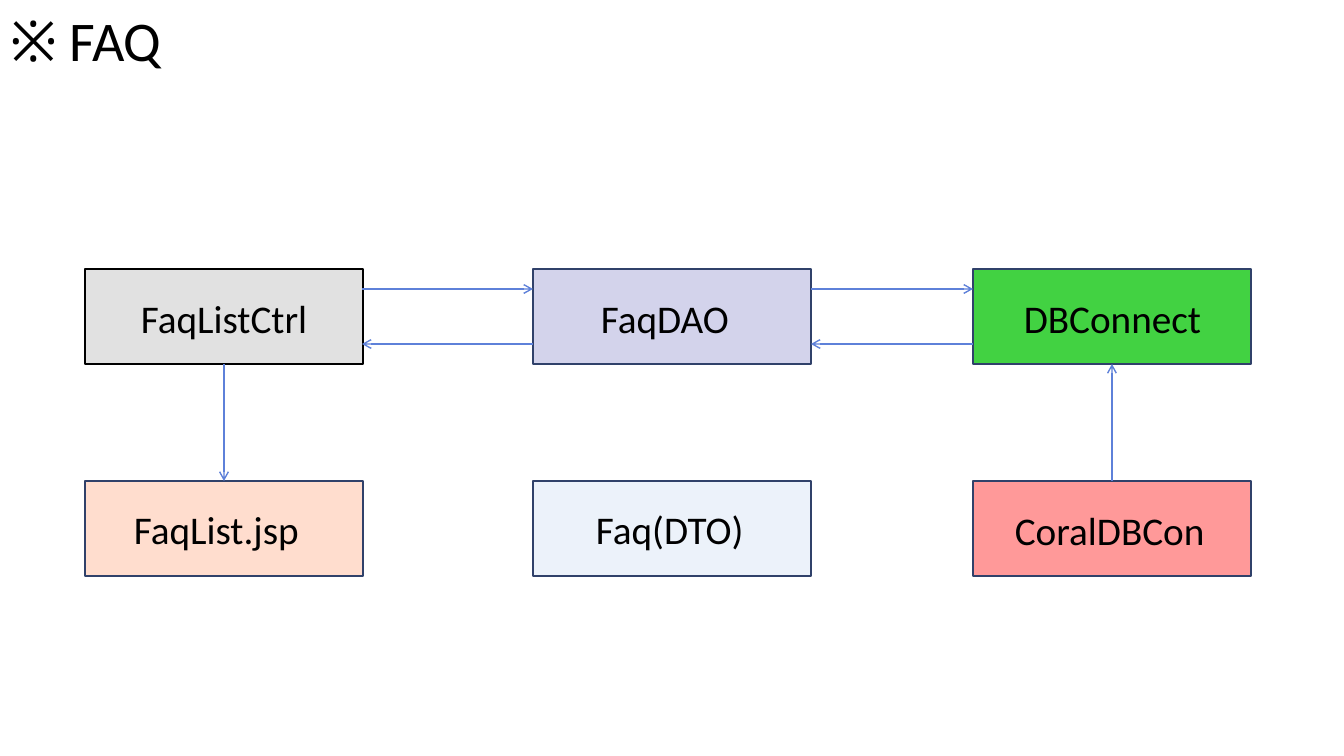
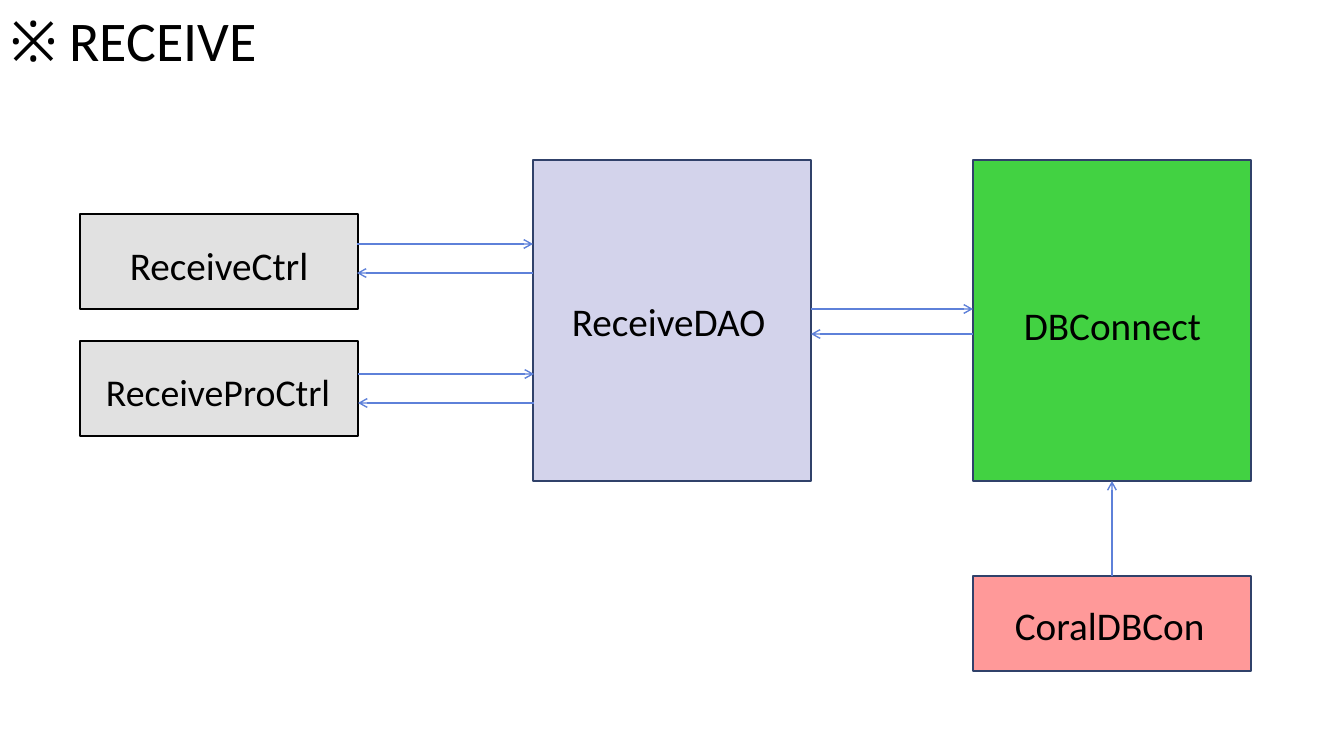
"""Build two class-flow diagrams, one slide each."""
from lxml import etree
from pptx import Presentation
from pptx import util as u
from pptx.dml.color import RGBColor
from pptx.enum import shapes, text
from pptx.oxml.ns import qn

SCALE = 914400 / 100.8
FONT = "Calibri"
INK, NAVY, BLUE = "000000", "30416A", "5E81D9"
GREY, LILAC, GREEN, RED, PEACH, ICE = "E1E1E1", "D3D3EB", "42D242", "FF9999", "FFDDCE", "ECF2FA"
BOX_WIDTH, LOW, TALL = 278, 95, 321
DAO_LEFT, CONNECT_LEFT = 533, 973
CONNECT_MIDDLE = CONNECT_LEFT + BOX_WIDTH // 2
TITLE_AREA = (0, 0, 458, 77)
LABEL_HEIGHT = 57

# boxes: label, size, left, top, height, fill, outline, label offset x, y and width
# exchanges: left, right, request y, reply y; drops: x, start y, end y
SLIDES = [
    {
        "title": "※ FAQ",
        "boxes": [
            ("DBConnect", 28, CONNECT_LEFT, 269, LOW, GREEN, NAVY, 41, 20, 216),
            ("CoralDBCon", 28, CONNECT_LEFT, 481, LOW, RED, NAVY, 32, 20, 225),
            ("Faq(DTO)", 28, DAO_LEFT, 481, LOW, ICE, NAVY, 53, 19, 173),
            ("FaqDAO", 28, DAO_LEFT, 269, LOW, LILAC, NAVY, 58, 20, 162),
            ("FaqListCtrl", 28, 85, 269, LOW, GREY, INK, 46, 20, 196),
            ("FaqList.jsp", 28, 85, 481, LOW, PEACH, NAVY, 39, 19, 199),
        ],
        "exchanges": [(362, DAO_LEFT, 289, 344), (811, CONNECT_LEFT, 289, 344)],
        "drops": [(CONNECT_MIDDLE, 481, 364), (224, 364, 481)],
    },
    {
        "title": "※ RECEIVE",
        "boxes": [
            ("DBConnect", 28, CONNECT_LEFT, 160, TALL, GREEN, NAVY, 41, 136, 216),
            ("CoralDBCon", 28, CONNECT_LEFT, 576, LOW, RED, NAVY, 32, 20, 225),
            ("ReceiveDAO", 28, DAO_LEFT, 160, TALL, LILAC, NAVY, 29, 132, 220),
            ("ReceiveProCtrl", 27, 80, 341, LOW, GREY, INK, 16, 23, 246),
            ("ReceiveCtrl", 28, 80, 214, LOW, GREY, INK, 40, 22, 205),
        ],
        "exchanges": [(357, DAO_LEFT, 244, 273), (358, 534, 374, 403),
                      (811, CONNECT_LEFT, 309, 334)],
        "drops": [(CONNECT_MIDDLE, 576, 481)],
    },
]


def px(*lengths):
    """Turn pixels into EMU."""
    return [u.Emu(round(length * SCALE)) for length in lengths]


def color(value):
    """Turn a hex string into a colour."""
    return RGBColor.from_string(value)


def assign(target, values):
    """Set attributes from a dict."""
    for name, value in values.items():
        setattr(target, name, value)


def write(shape, words, size):
    """Write one left-aligned line at the top of a shape."""
    frame = shape.text_frame
    frame.text = words
    assign(frame, {"word_wrap": True, "auto_size": text.MSO_AUTO_SIZE.NONE,
                   "vertical_anchor": text.MSO_ANCHOR.TOP})
    paragraph = frame.paragraphs[0]
    paragraph.alignment = text.PP_ALIGN.LEFT
    font = paragraph.runs[0].font
    assign(font, {"name": FONT, "size": u.Pt(size)})
    font.color.rgb = color(INK)


def add_title(slide, words):
    """Place and fill the slide title."""
    title = slide.shapes.title
    assign(title, dict(zip(("left", "top", "width", "height"), px(*TITLE_AREA))))
    write(title, words, 40)


def add_box(slide, label, size, left, top, height, fill, outline, shift_x, shift_y, width):
    """Draw a filled box and its label."""
    box = slide.shapes.add_shape(shapes.MSO_SHAPE.RECTANGLE, *px(left, top, BOX_WIDTH, height))
    box.shadow.inherit = False
    box.fill.solid()
    box.fill.fore_color.rgb = color(fill)
    box.line.color.rgb = color(outline)
    box.line.width = u.Pt(1.5)
    area = px(left + shift_x, top + shift_y, width, LABEL_HEIGHT)
    write(slide.shapes.add_textbox(*area), label, size)


def add_arrow(slide, *ends):
    """Draw an arrow from start x, y to end x, y."""
    arrow = slide.shapes.add_connector(shapes.MSO_CONNECTOR.STRAIGHT, *px(*ends))
    arrow.line.color.rgb = color(BLUE)
    arrow.line.width = u.Pt(1)
    properties = arrow.element.spPr
    etree.SubElement(properties.find(qn("a:ln")), qn("a:tailEnd"), type="arrow")
    etree.SubElement(properties, qn("a:effectLst"))


def main():
    """Build and save the presentation."""
    presentation = Presentation()
    presentation.slide_width, presentation.slide_height = px(1344, 756)
    for content in SLIDES:
        slide = presentation.slides.add_slide(presentation.slide_layouts[5])
        add_title(slide, content["title"])
        for box in content["boxes"]:
            add_box(slide, *box)
        for left, right, request, reply in content["exchanges"]:
            add_arrow(slide, left, request, right, request)
            add_arrow(slide, right, reply, left, reply)
        for x, start, end in content["drops"]:
            add_arrow(slide, x, start, x, end)
    presentation.save("out.pptx")


main()
